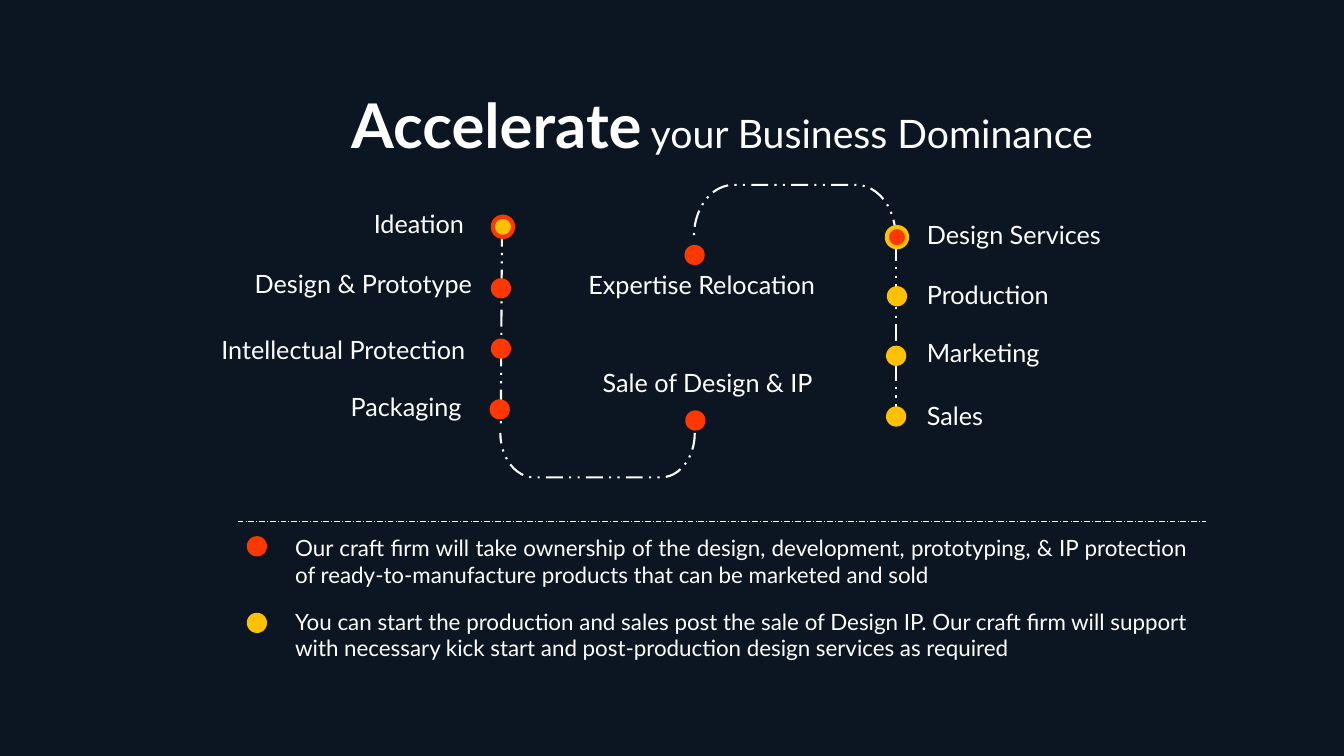
from dataclasses import dataclass
from typing import Optional

from lxml.etree import SubElement
from pptx import Presentation
from pptx.dml.color import RGBColor
from pptx.enum.dml import MSO_LINE
from pptx.enum.shapes import MSO_CONNECTOR, MSO_SHAPE
from pptx.enum.text import MSO_AUTO_SIZE, PP_ALIGN
from pptx.oxml.ns import qn
from pptx.util import Cm, Pt

NAVY = RGBColor(0x0C, 0x16, 0x22)
WHITE = RGBColor(0xFF, 0xFF, 0xFF)
RED = RGBColor(0xFF, 0x37, 0x01)
YELLOW = RGBColor(0xFF, 0xC0, 0x00)

DOT_SIZE = 0.51
LABEL_HEIGHT = 1.02
RIGHT_LABELS = 23.11
LEGEND_DOTS = 6.22


@dataclass
class Dot:
    left: float
    top: float
    fill: RGBColor
    ring: Optional[RGBColor] = None


@dataclass
class Stop:
    label: str
    left: float
    top: float
    width: float
    dot: Dot


@dataclass
class Route:
    start: tuple[float, float]
    end: tuple[float, float]
    weight: float = 1.5
    dash: MSO_LINE = MSO_LINE.DASH_DOT_DOT


@dataclass
class Bend:
    left: float
    top: float
    width: float
    height: float
    flipped: bool


@dataclass
class Legend:
    text: str
    top: float
    dot: Dot


ROUTES = [
    Route((12.65, 5.79), (12.62, 10.8)),
    Route((22.58, 6.15), (22.58, 10.67)),
    Route((5.99, 13.13), (30.4, 13.13), 0.5, MSO_LINE.LONG_DASH_DOT),
]
BENDS = [
    Bend(19.38, 2.77, 1.3, 5.08, True),
    Bend(14.5, 9.02, 1.12, 4.9, False),
]
STOPS = [
    Stop("Ideation", 9.17, 5.13, 2.92, Dot(12.42, 5.46, YELLOW, RED)),
    Stop("Design & Prototype", 6.17, 6.63, 6.32, Dot(12.37, 7.01, RED)),
    Stop("Intellectual Protection", 5.33, 8.31, 7.06, Dot(12.37, 8.53, RED)),
    Stop("Packaging", 8.59, 9.73, 3.51, Dot(12.34, 10.06, RED)),
    Stop("Sale of Design & IP", 14.94, 9.12, 6.02, Dot(17.27, 10.34, RED)),
    Stop("Expertise Relocation", 14.58, 6.65, 6.58, Dot(17.25, 6.17, RED)),
    Stop("Design Services", RIGHT_LABELS, 5.41, 5.21, Dot(22.35, 5.72, RED, YELLOW)),
    Stop("Production", RIGHT_LABELS, 6.91, 3.78, Dot(22.35, 7.21, YELLOW)),
    Stop("Marketing", RIGHT_LABELS, 8.38, 3.45, Dot(22.33, 8.71, YELLOW)),
    Stop("Sales", RIGHT_LABELS, 9.96, 2.06, Dot(22.33, 10.24, YELLOW)),
]
LEGENDS = [
    Legend(
        "Our craft firm will take ownership of the design, development, prototyping, "
        "& IP protection of ready-to-manufacture products that can be marketed and sold",
        13.34, Dot(LEGEND_DOTS, 13.51, RED)),
    Legend(
        "You can start the production and sales post the sale of Design IP. "
        "Our craft firm will support with necessary kick start and post-production "
        "design services as required",
        15.19, Dot(LEGEND_DOTS, 15.44, YELLOW)),
]


def apply_format(target, values: dict) -> None:
    for name, value in values.items():
        setattr(target, name, value)


def style_line(line, weight: float, dash: MSO_LINE) -> None:
    line.color.rgb = WHITE
    apply_format(line, {"width": Pt(weight), "dash_style": dash})


def draw_route(slide, route: Route) -> None:
    connector = slide.shapes.add_connector(
        MSO_CONNECTOR.STRAIGHT, *map(Cm, route.start + route.end))
    style_line(connector.line, route.weight, route.dash)
    SubElement(connector._element.spPr, qn("a:effectLst"))


def draw_bend(slide, bend: Bend) -> None:
    shape = slide.shapes.add_shape(
        MSO_SHAPE.LEFT_BRACKET,
        Cm(bend.left), Cm(bend.top), Cm(bend.width), Cm(bend.height))
    shape.shadow.inherit = False
    shape.rotation = 270
    shape.adjustments[0] = 0.763
    shape.fill.background()
    style_line(shape.line, 1.5, MSO_LINE.DASH_DOT_DOT)
    if bend.flipped:
        shape._element.spPr.xfrm.set("flipH", "1")


def draw_dot(slide, dot: Dot) -> None:
    shape = slide.shapes.add_shape(
        MSO_SHAPE.OVAL, Cm(dot.left), Cm(dot.top), Cm(DOT_SIZE), Cm(DOT_SIZE))
    shape.shadow.inherit = False
    shape.rotation = 3.8
    shape.fill.solid()
    shape.fill.fore_color.rgb = dot.fill
    if dot.ring is None:
        shape.line.fill.background()
    else:
        shape.line.color.rgb = dot.ring
        shape.line.width = Pt(3)


def draw_text(slide, box: tuple[float, float, float, float],
              runs: list[tuple[str, int, bool]], alignment: PP_ALIGN,
              wrap: bool = True) -> None:
    text_frame = slide.shapes.add_textbox(*map(Cm, box)).text_frame
    apply_format(text_frame, {"word_wrap": wrap,
                              "auto_size": MSO_AUTO_SIZE.SHAPE_TO_FIT_TEXT})
    paragraph = text_frame.paragraphs[0]
    paragraph.alignment = alignment
    for text, size, bold in runs:
        run = paragraph.add_run()
        run.text = text
        apply_format(run.font, {"name": "Lato", "size": Pt(size), "bold": bold})
        run.font.color.rgb = WHITE


def main() -> None:
    presentation = Presentation()
    apply_format(presentation, {"slide_width": Cm(33.87), "slide_height": Cm(19.05)})
    slide = presentation.slides.add_slide(presentation.slide_layouts[6])
    slide.background.fill.solid()
    slide.background.fill.fore_color.rgb = NAVY

    # Title
    draw_text(slide, (5.99, 2.06, 24.41, 2.13),
              [("Accelerate", 44, True), (" your Business Dominance", 28, False)],
              PP_ALIGN.CENTER)

    # Dashed path and divider
    for route in ROUTES:
        draw_route(slide, route)
    for bend in BENDS:
        draw_bend(slide, bend)

    # Stops along the path
    for stop in STOPS:
        draw_dot(slide, stop.dot)
        draw_text(slide, (stop.left, stop.top, stop.width, LABEL_HEIGHT),
                  [(stop.label, 18, False)], PP_ALIGN.LEFT, wrap=False)

    # Legend
    for legend in LEGENDS:
        draw_dot(slide, legend.dot)
        draw_text(slide, (7.19, legend.top, 22.99, 1.63),
                  [(legend.text, 16, False)], PP_ALIGN.JUSTIFY)

    presentation.save("out.pptx")


if __name__ == "__main__":
    main()
